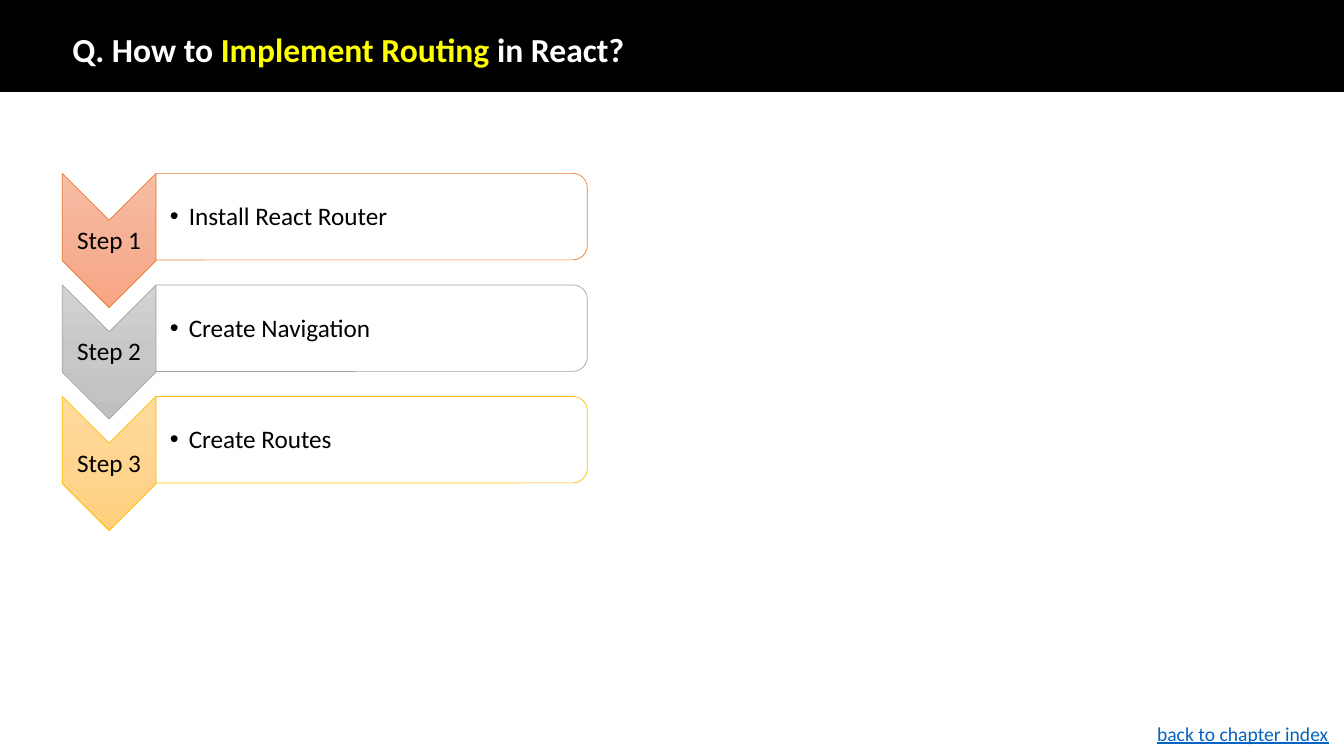
from dataclasses import dataclass

from lxml.etree import SubElement as Sub
from pptx import Presentation
from pptx.dml.color import RGBColor as Rgb
from pptx.enum.shapes import MSO_SHAPE as Kind
from pptx.enum.text import MSO_ANCHOR as Anchor, PP_ALIGN as Align
from pptx.oxml.ns import qn
from pptx.shapes.autoshape import Shape
from pptx.slide import Slide
from pptx.util import Cm, Pt


@dataclass
class Box:
    left: float
    top: float
    width: float
    height: float

    def down(self, gap: float) -> "Box":
        return Box(self.left, self.top + gap, self.width, self.height)

    def turned(self) -> "Box":
        shift = (self.width - self.height) / 2
        return Box(self.left + shift, self.top - shift, self.height, self.width)

    def size(self) -> tuple[Cm, Cm, Cm, Cm]:
        return Cm(self.left), Cm(self.top), Cm(self.width), Cm(self.height)


@dataclass
class Step:
    label: str
    task: str
    line: str
    shades: tuple[str, str, str]


STEPS = [
    Step("Step 1", "Install React Router", "ED7D31", ("F7BDA5", "F5B196", "F8A582")),
    Step("Step 2", "Create Navigation", "A5A5A5", ("D2D2D2", "C8C8C8", "C0C0C0")),
    Step("Step 3", "Create Routes", "FFC000", ("FFDB9E", "FFD590", "FFD07C")),
]
PITCH = 2.81
ARROW = Box(1.57, 4.37, 2.36, 3.38)
LABEL = Box(1.57, 5.56, 2.36, 1.02)
PANEL = Box(3.93, 4.37, 10.87, 2.18)
TASK = Box(3.92, 4.49, 10.77, 1.98)


def color(code: str) -> Rgb:
    return Rgb.from_string(code)


def draw(slide: Slide, kind: Kind, box: Box, fill: str, line: str, width: float) -> Shape:
    shape = slide.shapes.add_shape(kind, *box.size())
    shape.shadow.inherit = False
    shape.fill.solid()
    shape.fill.fore_color.rgb = color(fill)
    shape.line.color.rgb = color(line)
    shape.line.width = Pt(width)
    return shape


def blend(shape: Shape, shades: tuple[str, str, str]) -> None:
    solid = shape._element.spPr.find(qn("a:solidFill"))
    grad = solid.makeelement(qn("a:gradFill"), {"rotWithShape": "0"})
    stops = Sub(grad, qn("a:gsLst"))
    for rank, shade in enumerate(shades):
        stop = Sub(stops, qn("a:gs"), pos=str(rank * 50000))
        Sub(stop, qn("a:srgbClr"), val=shade)
    Sub(grad, qn("a:lin"), ang="5400000", scaled="0")
    solid.getparent().replace(solid, grad)


def write(slide: Slide, box: Box, text: str, size: int, ink: str) -> Shape:
    shape = slide.shapes.add_textbox(*box.size())
    frame = shape.text_frame
    frame.word_wrap = True
    frame.text = text
    font = frame.paragraphs[0].runs[0].font
    font.name, font.size = "Calibri", Pt(size)
    font.color.rgb = color(ink)
    return shape


def inset(shape: Shape, left: float) -> None:
    frame = shape.text_frame
    frame.vertical_anchor = Anchor.MIDDLE
    frame.margin_left = Cm(left)
    frame.margin_top = frame.margin_right = frame.margin_bottom = Cm(0.03)
    frame.paragraphs[0].line_spacing = 0.9


def bullet(shape: Shape) -> None:
    props = shape.text_frame.paragraphs[0]._p.get_or_add_pPr()
    props.set("marL", str(Cm(0.48)))
    props.set("indent", str(Cm(-0.48)))
    Sub(props, qn("a:buFont"), typeface="Arial")
    Sub(props, qn("a:buChar"), char="•")


def head(slide: Slide) -> None:
    draw(slide, Kind.RECTANGLE, Box(0, 0, 33.87, 2.31), "000000", "000000", 1)
    title = slide.shapes.title
    slide.shapes._spTree.append(title._element)
    title.left, title.top, title.width, title.height = Box(1.57, 0.86, 29.21, 0.89).size()
    frame = title.text_frame
    frame.vertical_anchor = Anchor.MIDDLE
    para = frame.paragraphs[0]
    para.alignment = Align.LEFT
    para.line_spacing = 0.9
    parts = [("Q. How to ", "FFFFFF"), ("Implement Routing", "FFFF00"), (" in React?", "FFFFFF")]
    for text, ink in parts:
        run = para.add_run()
        run.text = text
        run.font.name, run.font.size, run.font.bold = "Calibri", Pt(24), True
        run.font.color.rgb = color(ink)


def show(slide: Slide, step: Step, gap: float) -> None:
    arrow = draw(slide, Kind.CHEVRON, ARROW.down(gap).turned(), step.shades[0], step.line, 0.5)
    arrow.rotation = 90
    blend(arrow, step.shades)
    label = write(slide, LABEL.down(gap), step.label, 18, "000000")
    inset(label, 0.03)
    label.text_frame.paragraphs[0].alignment = Align.CENTER
    panel = draw(slide, Kind.ROUND_2_SAME_RECTANGLE, PANEL.down(gap).turned(), "FFFFFF", step.line, 0.5)
    panel.rotation = 90
    tint = panel._element.spPr.find(qn("a:solidFill"))[0]
    Sub(tint, qn("a:alpha"), val="90000")
    task = write(slide, TASK.down(gap), step.task, 18, "000000")
    inset(task, 0.36)
    bullet(task)


def main() -> None:
    deck = Presentation()
    deck.slide_width, deck.slide_height = Cm(33.87), Cm(19.05)
    slide = deck.slides.add_slide(deck.slide_layouts[5])
    head(slide)
    for rank, step in enumerate(STEPS):
        show(slide, step, rank * PITCH)
    back = write(slide, Box(28.91, 18.06, 4.95, 0.86), "back to chapter index", 14, "0563C1")
    back.text_frame.word_wrap = False
    back.text_frame.paragraphs[0].runs[0].font.underline = True
    deck.save("out.pptx")


if __name__ == "__main__":
    main()
